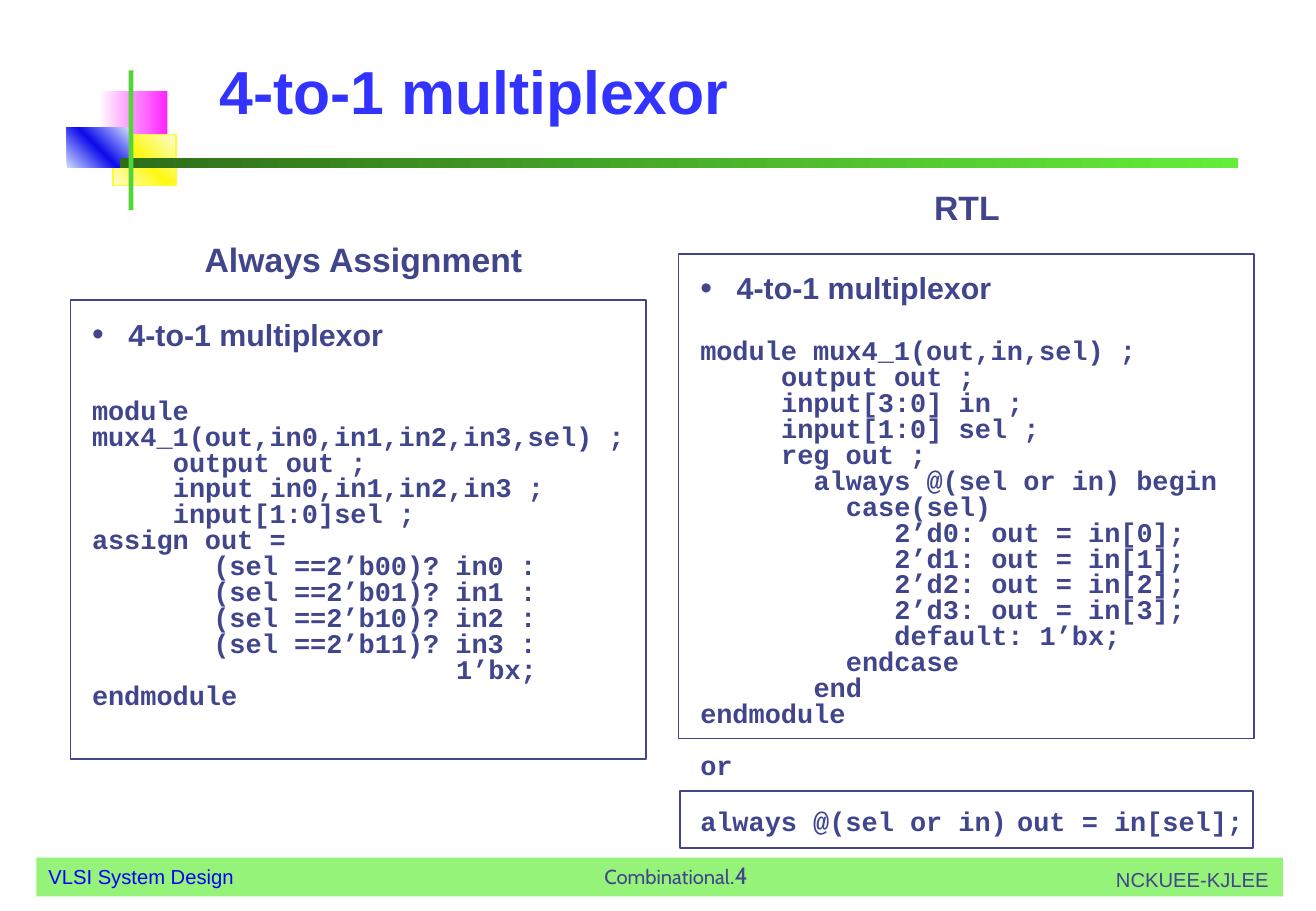
from lxml.etree import SubElement
from pptx import Presentation
from pptx.dml.color import RGBColor
from pptx.enum.shapes import MSO_SHAPE
from pptx.enum.text import MSO_ANCHOR, PP_ALIGN
from pptx.oxml import parse_xml
from pptx.oxml.ns import nsdecls, qn
from pptx.util import Inches, Pt

INK = "40458C"
CODE = dict(size=16, font="Courier New", bold=True)
CODE_CHAR = 0.6 * 16 / 72  # width of one code character in inches
CODE_LINE = 15.4  # height of one code line in points

# Each code line is (indent in characters, text, blank lines before it).
ASSIGN_CODE = [
    (0, "module mux4_1(out,in0,in1,in2,in3,sel) ;", 0),
    (5, "output out ;", 0),
    (5, "input in0,in1,in2,in3 ;", 0),
    (5, "input[1:0]sel ;", 0),
    (0, "assign out =", 0),
    *[(7.5, f"(sel ==2’b{i:02b})? in{i} :", 0) for i in range(4)],
    (22.5, "1’bx;", 0),
    (0, "endmodule", 0),
]
RTL_CODE = [
    (0, "module mux4_1(out,in,sel) ;", 0),
    (5, "output out ;", 0),
    (5, "input[3:0] in ;", 0),
    (5, "input[1:0] sel ;", 0),
    (5, "reg out ;", 0),
    (7, "always @(sel or in) begin", 0),
    (9, "case(sel)", 0),
    *[(12, f"2’d{i}: out = in[{i}];", 0) for i in range(4)],
    (12, "default: 1’bx;", 0),
    (9, "endcase", 0),
    (7, "end", 0),
    (0, "endmodule", 0),
    (0, "or", 1),
]


def color(value):
    return RGBColor.from_string(value)


def add_rect(page, left, top, width, height, fill=None, line=None, weight=1):
    rect = page.shapes.add_shape(MSO_SHAPE.RECTANGLE, Inches(left), Inches(top),
                                 Inches(width), Inches(height))
    rect.shadow.inherit = False
    if fill:
        rect.fill.solid()
        rect.fill.fore_color.rgb = color(fill)
    else:
        rect.fill.background()
    if line:
        rect.line.color.rgb = color(line)
        rect.line.width = Pt(weight)
    else:
        rect.line.fill.background()
    return rect


def add_gradient(rect, colors, angle=0):
    """Spread the colours evenly over the rectangle."""
    step = 100000 // (len(colors) - 1)
    stops = "".join(f'<a:gs pos="{i * step}"><a:srgbClr val="{value}"/></a:gs>'
                    for i, value in enumerate(colors))
    gradient = parse_xml(
        f'<a:gradFill {nsdecls("a")} rotWithShape="1"><a:gsLst>{stops}</a:gsLst>'
        f'<a:lin ang="{angle * 60000}" scaled="1"/></a:gradFill>')
    properties = rect.element.spPr
    properties.replace(properties.find(qn("a:noFill")), gradient)


def add_box(page, left, top, width, height, anchor=MSO_ANCHOR.TOP, wrap=True):
    box = page.shapes.add_textbox(Inches(left), Inches(top), Inches(width), Inches(height))
    box.text_frame.word_wrap = wrap
    box.text_frame.vertical_anchor = anchor
    return box.text_frame


def add_span(para, text, size=12, font="Arial", fill=INK, bold=False):
    span = para.add_run()
    span.text = text
    span.font.size = Pt(size)
    span.font.name = font
    span.font.bold = bold
    span.font.color.rgb = color(fill)


def add_text(page, box, text, align=PP_ALIGN.LEFT, anchor=MSO_ANCHOR.TOP, **style):
    para = add_box(page, *box, anchor=anchor).paragraphs[0]
    para.alignment = align
    add_span(para, text, **style)
    return para


def set_indent(para, left, first=0):
    properties = para._p.get_or_add_pPr()
    properties.set("marL", str(Inches(left)))
    properties.set("indent", str(Inches(first)))
    return properties


def add_bullet(para):
    properties = set_indent(para, 0.3, -0.3)
    bullet_color = SubElement(properties, qn("a:buClr"))
    SubElement(bullet_color, qn("a:srgbClr"), val=INK)
    SubElement(properties, qn("a:buSzPct"), val="110000")
    SubElement(properties, qn("a:buFont"), typeface="Arial")
    SubElement(properties, qn("a:buChar"), char="•")


def add_code(page, box, lines):
    frame = add_box(page, *box)
    for number, (indent, text, blank_lines) in enumerate(lines):
        para = frame.add_paragraph() if number else frame.paragraphs[0]
        para.line_spacing = 0.8
        para.space_before = Pt(blank_lines * CODE_LINE)
        set_indent(para, indent * CODE_CHAR)
        add_span(para, text, **CODE)


def add_footer(page, left, top, width, height):
    add_rect(page, left, top, width, height, fill="96F379")
    add_text(page, (left, top + 0.01, 4.81, 0.3), "VLSI System Design", fill="0000F8")
    add_text(page, (left + width - 2.3, top + 0.03, 2.28, 0.3), "NCKUEE-KJLEE",
             align=PP_ALIGN.RIGHT)
    number = add_text(page, (left + 4.41, top - 0.19, 1.72, 0.5), "Combinational",
                      align=PP_ALIGN.CENTER, anchor=MSO_ANCHOR.BOTTOM, font="Cabin")
    add_span(number, ".4", size=14, font="Cabin")


def add_header(page, left, top):
    """Place the coloured squares, the two bars and the title."""
    pink = add_rect(page, left + 0.26, top + 0.17, 0.57, 0.4)
    add_gradient(pink, ["FFFFFF", "FF23FF"])
    yellow = add_rect(page, left + 0.38, top + 0.53, 0.52, 0.42, line="FFFB33", weight=0.75)
    add_gradient(yellow, ["FDFCD3", "FFF913", "FDFCD3"], angle=315)
    blue = add_rect(page, left, top + 0.47, 0.51, 0.33)
    add_gradient(blue, ["CFDBFD", "0C0CEC", "CFDBFD"], angle=315)
    bar = add_rect(page, left + 0.44, top + 0.72, 9.21, 0.08)
    add_gradient(bar, ["2E6E1A", "64ED39"])
    add_rect(page, left + 0.51, top, 0.04, 1.15, fill="53D539")
    add_text(page, (left + 1.16, top - 0.25, 8.4, 0.83), "4-to-1 multiplexor",
             anchor=MSO_ANCHOR.MIDDLE, size=36, fill="3333FF", bold=True)


def add_panel(page, left, top, height, heading, heading_at, code, code_drop):
    """Place a framed code listing with its heading above."""
    add_rect(page, left, top, 4.74, height, fill="FFFFFF", line=INK)
    shift, rise = heading_at
    add_text(page, (left + shift, top - rise, 4.67, 0.43), heading,
             align=PP_ALIGN.CENTER, size=20, bold=True)
    add_bullet(add_text(page, (left + 0.08, top + 0.08, 4.75, 0.4), "4-to-1 multiplexor",
                        size=18, bold=True))
    add_code(page, (left + 0.08, top + code_drop, 4.67, CODE_LINE * len(code) / 72 + 0.1), code)


def add_alternative(page, left, top, width, height):
    add_rect(page, left, top, width, height, line=INK)
    para = add_box(page, left + 0.07, top - 0.05, 4.67, 0.5, wrap=False).paragraphs[0]
    add_span(para, "always @(sel or in)", **CODE)
    add_span(para, " ", size=24, font="Times New Roman")
    add_span(para, "out = in[sel];", **CODE)


def main():
    deck = Presentation()
    deck.slide_width, deck.slide_height = Inches(10.84), Inches(7.5)
    page = deck.slides.add_slide(deck.slide_layouts[6])
    add_footer(page, 0.3, 7.06, 10.27, 0.32)
    add_header(page, 0.55, 0.58)
    add_panel(page, 0.58, 2.47, 3.78, "Always Assignment", (0.08, 0.55), ASSIGN_CODE, 0.77)
    add_panel(page, 5.59, 2.09, 3.99, "RTL", (0.04, 0.6), RTL_CODE, 0.66)
    add_alternative(page, 5.6, 6.51, 4.72, 0.47)
    deck.save("out.pptx")


if __name__ == "__main__":
    main()
